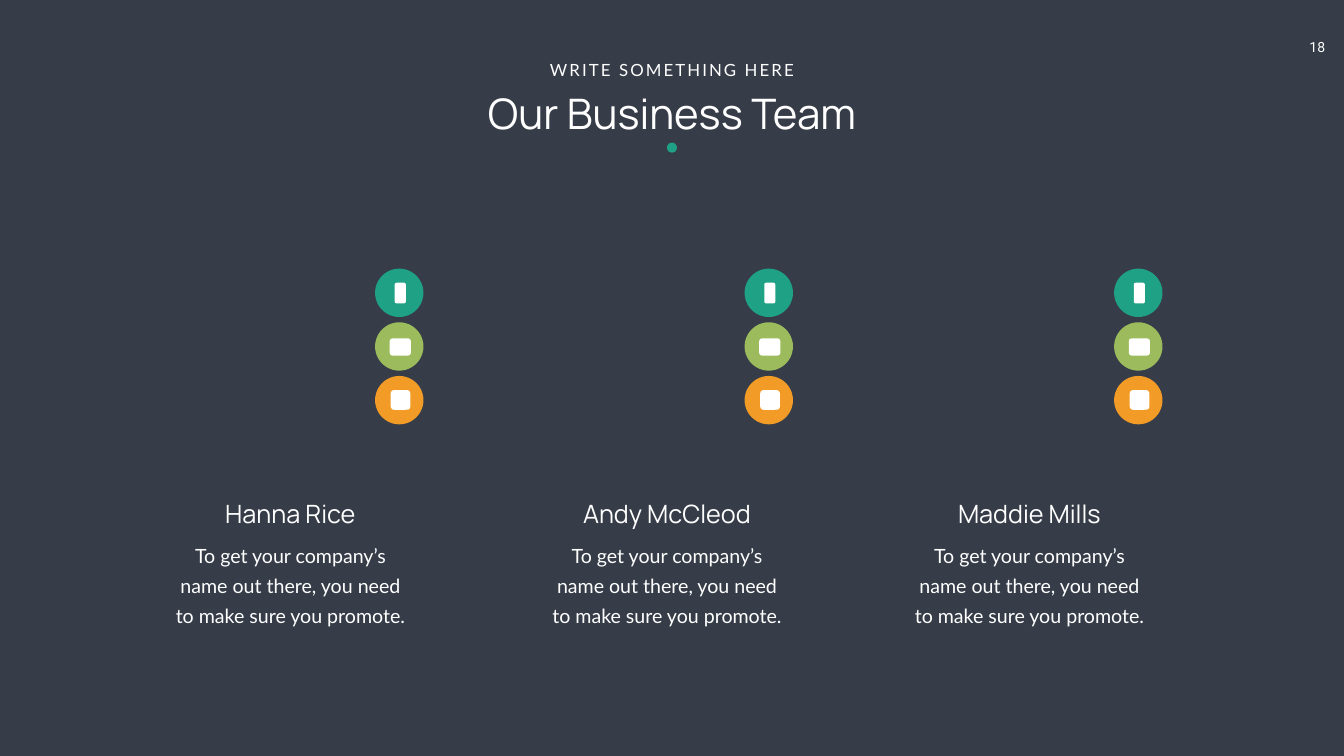
from dataclasses import dataclass

from pptx import Presentation
from pptx.dml.color import RGBColor
from pptx.enum.shapes import MSO_SHAPE
from pptx.enum.text import MSO_ANCHOR, PP_ALIGN
from pptx.util import Inches, Pt


@dataclass(frozen=True)
class Theme:
    back: str = "363D48"
    ink: str = "FFFFFF"
    green: str = "1EA185"
    lime: str = "9BBB5C"
    gold: str = "F29B26"
    head: str = "Manrope"
    body: str = "Lato"
    digit: str = "Roboto"
    title_size: int = 60
    name_size: int = 36
    body_size: int = 28
    kicker_size: int = 24
    page_size: int = 20
    lead: int = 43
    track: int = 3


THEME = Theme()
BLURB = "To get your company’s name out there, you need to make sure you promote."
# Name, width of the name, left of the card, left of the badges
TEAM = [
    ("Hanna Rice", 3.1, 3.12, 7.44),
    ("Andy McCleod", 3.9, 10.59, 14.77),
    ("Maddie Mills", 3.36, 17.78, 22.1),
]
# Fill of each badge, then the mark's left, top, width and height inside it
BADGES = [
    (THEME.green, (0.39, 0.28, 0.22, 0.41)),
    (THEME.lime, (0.29, 0.32, 0.42, 0.34)),
    (THEME.gold, (0.31, 0.28, 0.39, 0.39)),
]


def write(shape, text, font, size, pad=(0.1, 0.05, 0.1, 0.05), wrap=True):
    """Fill a shape with one centred paragraph and return that paragraph."""
    frame = shape.text_frame
    frame.text = text
    frame.word_wrap = wrap
    frame.vertical_anchor = MSO_ANCHOR.TOP
    (frame.margin_left, frame.margin_top,
     frame.margin_right, frame.margin_bottom) = map(Inches, pad)
    para = frame.paragraphs[0]
    para.alignment = PP_ALIGN.CENTER
    style = para.runs[0].font
    style.name = font
    style.size = Pt(size)
    style.color.rgb = RGBColor.from_string(THEME.ink)
    return para


def add_text(slide, box, *args, **kwargs):
    return write(slide.shapes.add_textbox(*map(Inches, box)), *args, **kwargs)


def add_form(slide, kind, box, color):
    shape = slide.shapes.add_shape(kind, *map(Inches, box))
    shape.shadow.inherit = False
    shape.fill.solid()
    shape.fill.fore_color.rgb = RGBColor.from_string(color)
    shape.line.fill.background()


def add_header(slide, left, top, width):
    """Place the kicker, the title and the dot on one centre line."""
    mid = left + width / 2
    title = slide.shapes.title
    title.left, title.top, title.width, title.height = map(
        Inches, (left, top + 0.55, width, 1.11))
    write(title, "Our Business Team", THEME.head, THEME.title_size)
    kicker = add_text(slide, (mid - 2.57, top, 5.14, 0.5), "WRITE SOMETHING HERE",
                      THEME.body, THEME.kicker_size, wrap=False)
    kicker.runs[0].font._element.set("spc", str(THEME.track * 100))
    add_form(slide, MSO_SHAPE.OVAL, (mid - 0.1, top + 1.7, 0.2, 0.2), THEME.green)


def add_badges(slide, left, top, size, height):
    """Stack the badges evenly, each with a plain mark."""
    step = (height - size) / (len(BADGES) - 1)
    for i, (color, (dx, dy, wide, high)) in enumerate(BADGES):
        y = top + i * step
        add_form(slide, MSO_SHAPE.OVAL, (left, y, size, size), color)
        add_form(slide, MSO_SHAPE.ROUNDED_RECTANGLE,
                 (left + dx, y + dy, wide, high), THEME.ink)


def add_card(slide, left, top, width, name, span):
    """Place a name of the given span above its blurb."""
    add_text(slide, (left + (width - span) / 2, top, span, 0.71), name,
             THEME.head, THEME.name_size, wrap=False)
    blurb = add_text(slide, (left, top + 0.71, width, 1.99), BLURB, THEME.body,
                     THEME.body_size, pad=(0.24, 0.12, 0.24, 0.12))
    blurb.line_spacing = Pt(THEME.lead)


def main():
    deck = Presentation()
    deck.slide_width, deck.slide_height = Inches(26.66), Inches(15)
    slide = deck.slides.add_slide(deck.slide_layouts[5])
    slide.background.fill.solid()
    slide.background.fill.fore_color.rgb = RGBColor.from_string(THEME.back)

    add_text(slide, (25.69, 0.67, 1.01, 0.54), "18", THEME.digit,
             THEME.page_size, pad=(0.2, 0.1, 0.33, 0.1))
    add_header(slide, 5.3, 1.13, 16.06)
    for name, span, card, badge in TEAM:
        add_badges(slide, badge, 5.33, 0.96, 3.09)
        add_card(slide, card, 9.83, 5.28, name, span)
    deck.save("out.pptx")


if __name__ == "__main__":
    main()
